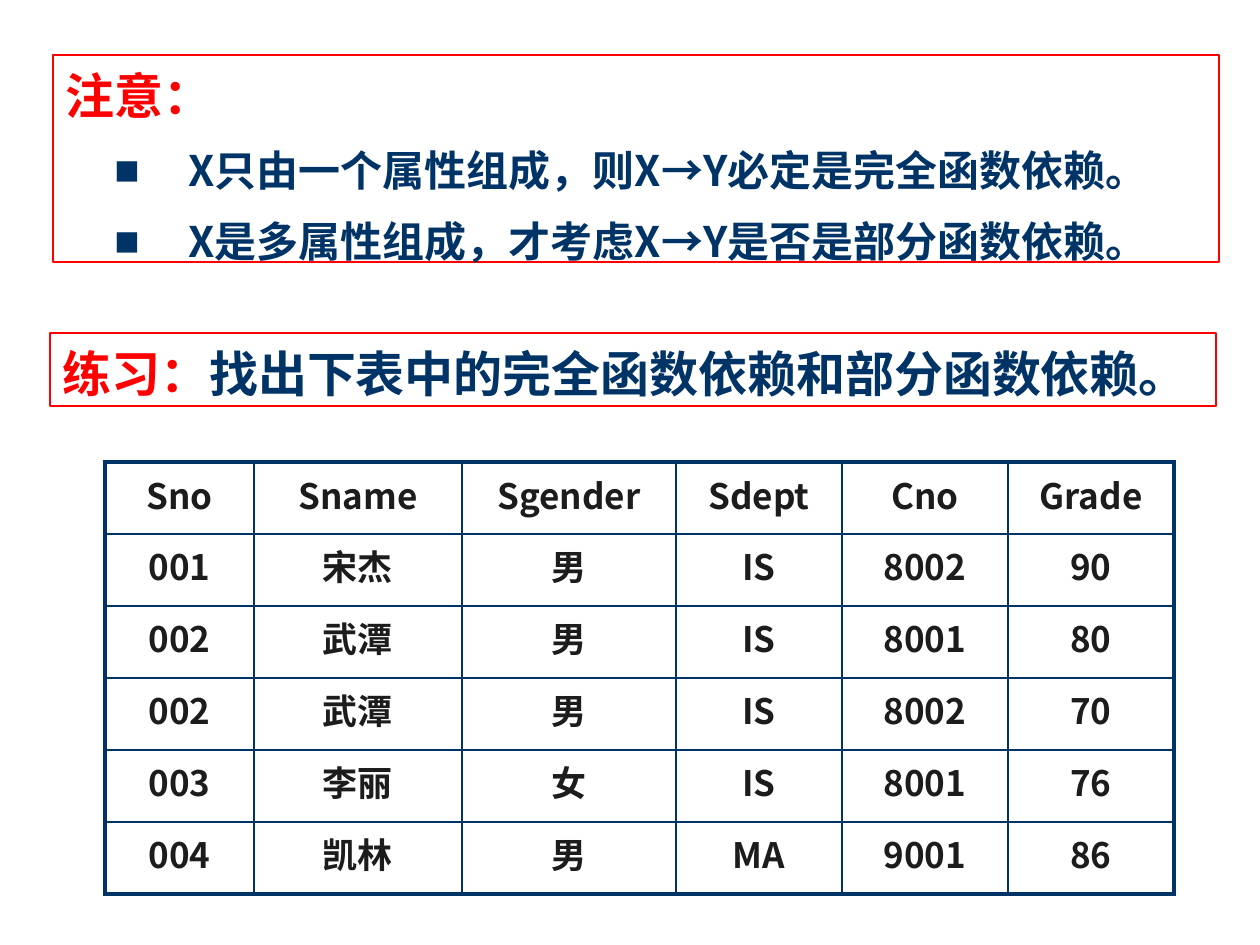
from lxml import etree
from pptx import Presentation
from pptx import util as u
from pptx.dml.color import RGBColor
from pptx.enum import shapes, text
from pptx.oxml.ns import qn

SCALE = 914400 / 126
FONT = "Noto Sans CJK SC"
RED, NAVY, INK = "FF0000", "003366", "1C1C1C"
COLUMNS = [149, 208, 214, 166, 166, 166]
ROW_HEIGHT = 72
ROWS = [
    ["Sno", "Sname", "Sgender", "Sdept", "Cno", "Grade"],
    ["001", "宋杰", "男", "IS", "8002", "90"],
    ["002", "武潭", "男", "IS", "8001", "80"],
    ["002", "武潭", "男", "IS", "8002", "70"],
    ["003", "李丽", "女", "IS", "8001", "76"],
    ["004", "凯林", "男", "MA", "9001", "86"],
]


def px(n):
    """Turn pixels into EMU."""
    return u.Emu(round(n * SCALE))


def color(value):
    """Turn a hex string into a colour."""
    return RGBColor.from_string(value)


def add_run(p, words, size, ink):
    """Add a bold run in the slide font for both scripts."""
    r = p.add_run()
    r.text = words
    for name, value in {"size": u.Pt(size), "bold": True, "name": FONT}.items():
        setattr(r.font, name, value)
    r.font.color.rgb = color(ink)
    r.font._element.find(qn("a:latin")).addnext(
        etree.Element(qn("a:ea"), typeface=FONT))


def add_box(s, x, y, w, h):
    """Add a red outlined box and return its text frame."""
    sp = s.shapes.add_shape(shapes.MSO_SHAPE.RECTANGLE, px(x), px(y), px(w), px(h))
    sp.shadow.inherit = False
    sp.fill.background()
    sp.line.color.rgb = color(RED)
    sp.line.width = u.Pt(0.75)
    tf = sp.text_frame
    tf.word_wrap = True
    tf.vertical_anchor = text.MSO_ANCHOR.TOP
    return tf


def format_line(p, spacing):
    """Left-align a paragraph and fix its line height in points."""
    p.alignment = text.PP_ALIGN.LEFT
    p.line_spacing = u.Pt(spacing)


def add_bullet(tf, words):
    """Add a square-bulleted paragraph."""
    p = tf.add_paragraph()
    p.level = 1
    format_line(p, 40.5)
    pPr = p._p.get_or_add_pPr()
    pPr.set("marL", str(px(123)))
    pPr.set("indent", str(px(-74)))
    etree.SubElement(pPr, qn("a:buFont"), typeface="Arial")
    etree.SubElement(pPr, qn("a:buChar"), char="■")
    add_run(p, words, 24, NAVY)


def set_borders(cell, widths):
    """Draw the left, right, top and bottom borders of a cell."""
    tcPr = cell._tc.get_or_add_tcPr()
    for i, (side, width) in enumerate(zip("LRTB", widths)):
        ln = etree.Element(qn(f"a:ln{side}"), w=str(u.Pt(width)))
        fill = etree.SubElement(ln, qn("a:solidFill"))
        etree.SubElement(fill, qn("a:srgbClr"), val=NAVY)
        tcPr.insert(i, ln)


def add_grid(s, x, y):
    """Add the grade table with a thick outer frame."""
    n_rows, n_cols = len(ROWS), len(COLUMNS)
    table = s.shapes.add_table(n_rows, n_cols, px(x), px(y), px(sum(COLUMNS)),
                               px(n_rows * ROW_HEIGHT)).table
    table.first_row = table.horz_banding = False
    for column, width in zip(table.columns, COLUMNS):
        column.width = px(width)
    for i, values in enumerate(ROWS):
        table.rows[i].height = px(ROW_HEIGHT)
        for j, value in enumerate(values):
            cell = table.cell(i, j)
            cell.fill.background()
            edges = (j == 0, j == n_cols - 1, i == 0, i == n_rows - 1)
            set_borders(cell, [2.25 if edge else 1 for edge in edges])
            p = cell.text_frame.paragraphs[0]
            p.alignment = text.PP_ALIGN.CENTER
            add_run(p, value, 20, INK)


def main():
    """Build the slide."""
    prs = Presentation()
    prs.slide_width, prs.slide_height = px(1260), px(945)
    s = prs.slides.add_slide(prs.slide_layouts[6])

    p = add_box(s, 50, 333, 1166, 73).paragraphs[0]
    format_line(p, 36)
    add_run(p, "练习：", 28, RED)
    add_run(p, "找出下表中的完全函数依赖和部分函数依赖。", 28, NAVY)

    tf = add_box(s, 53, 55, 1166, 207)
    format_line(tf.paragraphs[0], 36)
    add_run(tf.paragraphs[0], "注意：", 28, RED)
    add_bullet(tf, "X只由一个属性组成，则X→Y必定是完全函数依赖。")
    add_bullet(tf, "X是多属性组成，才考虑X→Y是否是部分函数依赖。")

    add_grid(s, 105, 462)
    prs.save("out.pptx")


if __name__ == "__main__":
    main()
